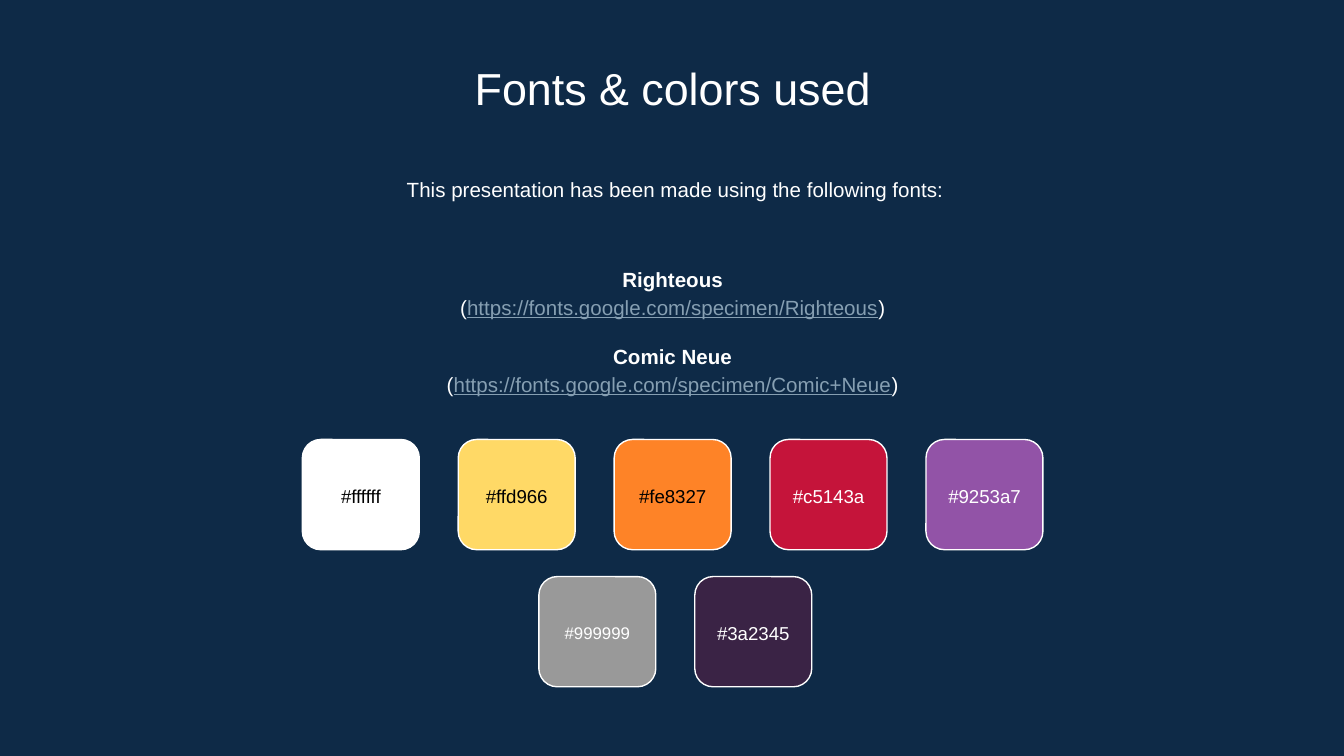
from pptx import Presentation
from pptx.dml.color import RGBColor
from pptx.enum.shapes import MSO_SHAPE as Shape
from pptx.enum.text import MSO_ANCHOR as Anchor, PP_ALIGN as Align
from pptx.util import Inches, Pt

WHITE, BLACK, NAVY, LINK = "FFFFFF", "000000", "0E2A47", "869FB2"
SLIDE_WIDTH = Inches(10)
SLIDE_HEIGHT = SLIDE_WIDTH * 9 // 16
FONT_SITE = "https://fonts.google.com/specimen/"
FONTS = [("Righteous", "Righteous"), ("Comic Neue", "Comic+Neue")]
SWATCH_ROWS = [
    (22.5, 32.7, [("ffffff", BLACK, 10), ("ffd966", BLACK, 10), ("fe8327", BLACK, 10),
                  ("c5143a", WHITE, 10), ("9253a7", WHITE, 10)]),
    (40.1, 42.9, [("999999", WHITE, 9), ("3a2345", WHITE, 10)]),
]
SWATCH_WIDTH, SWATCH_HEIGHT, SWATCH_STEP = 8.7, 8.2, 11.6
LABEL_HEIGHT = 4.8


def color(code):
    """Turn a hex string into a colour."""
    return RGBColor.from_string(code.upper())


def assign(target, values):
    """Set each attribute named in a dict."""
    for name, value in values.items():
        setattr(target, name, value)


class Page:
    """Slide with its style, laid out on a square grid 100 columns wide."""

    cell = SLIDE_WIDTH // 100
    frame_format = dict(word_wrap=True, **{
        f"margin_{side}": Inches(0.1) for side in ("left", "top", "right", "bottom")})

    def __init__(self, deck, background):
        """Add a blank slide with a plain background."""
        self.slide = deck.slides.add_slide(deck.slide_layouts[6])
        fill = self.slide.background.fill
        fill.solid()
        fill.fore_color.rgb = color(background)

    def place(self, *lengths):
        """Turn grid lengths into slide lengths."""
        return [round(length * self.cell) for length in lengths]

    def text(self, area, paragraphs, size=11, anchor=Anchor.TOP, spacing=1.15):
        """Add centred text; a paragraph is its space before and its spans."""
        box = self.slide.shapes.add_textbox(*self.place(*area))
        frame = box.text_frame
        assign(frame, dict(self.frame_format, vertical_anchor=anchor))
        for index, (before, spans) in enumerate(paragraphs):
            para = frame.add_paragraph() if index else frame.paragraphs[0]
            assign(para, dict(alignment=Align.CENTER, line_spacing=spacing,
                              space_before=Pt(before)))
            for words, ink, extra in spans:
                span = para.add_run()
                span.text = words
                assign(span.font, dict(name="Arial", size=Pt(size), **extra))
                span.font.color.rgb = color(ink)

    def swatch(self, left, top, code, ink, size):
        """Add a rounded colour sample with its code in the middle."""
        area = self.place(left, top, SWATCH_WIDTH, SWATCH_HEIGHT)
        tile = self.slide.shapes.add_shape(Shape.ROUNDED_RECTANGLE, *area)
        tile.shadow.inherit = False
        tile.adjustments[0] = 0.167
        tile.fill.solid()
        tile.fill.fore_color.rgb = color(code)
        tile.line.color.rgb = color(WHITE)
        tile.line.width = Pt(0.75)
        label_top = top + (SWATCH_HEIGHT - LABEL_HEIGHT) / 2
        self.text((left, label_top, SWATCH_WIDTH, LABEL_HEIGHT),
                  [(0, [(f"#{code}", ink, {})])], size, Anchor.MIDDLE)


def main():
    """Build the page of fonts and colours."""
    deck = Presentation()
    assign(deck, dict(slide_width=SLIDE_WIDTH, slide_height=SLIDE_HEIGHT))
    page = Page(deck, NAVY)
    intro = "This presentation has been made using the following fonts:"
    page.text((11.7, 11.9, 77.1, 4.8), [(0, [(intro, WHITE, {})])])
    page.text((11.5, 3.5, 77.1, 5.3), [(0, [("Fonts & colors used", WHITE, {})])],
              size=24, spacing=1.0)

    credits = []
    for index, (name, address) in enumerate(FONTS):
        credits.append((11 * index, [(name, WHITE, dict(bold=True))]))
        credits.append((0, [("(", WHITE, {}),
                            (FONT_SITE + address, LINK, dict(underline=True)),
                            (")", WHITE, {})]))
    page.text((11.5, 17.7, 77.1, 13.7), credits, anchor=Anchor.MIDDLE)

    for left, top, samples in SWATCH_ROWS:
        for column, sample in enumerate(samples):
            page.swatch(left + column * SWATCH_STEP, top, *sample)
    deck.save("out.pptx")


if __name__ == "__main__":
    main()
